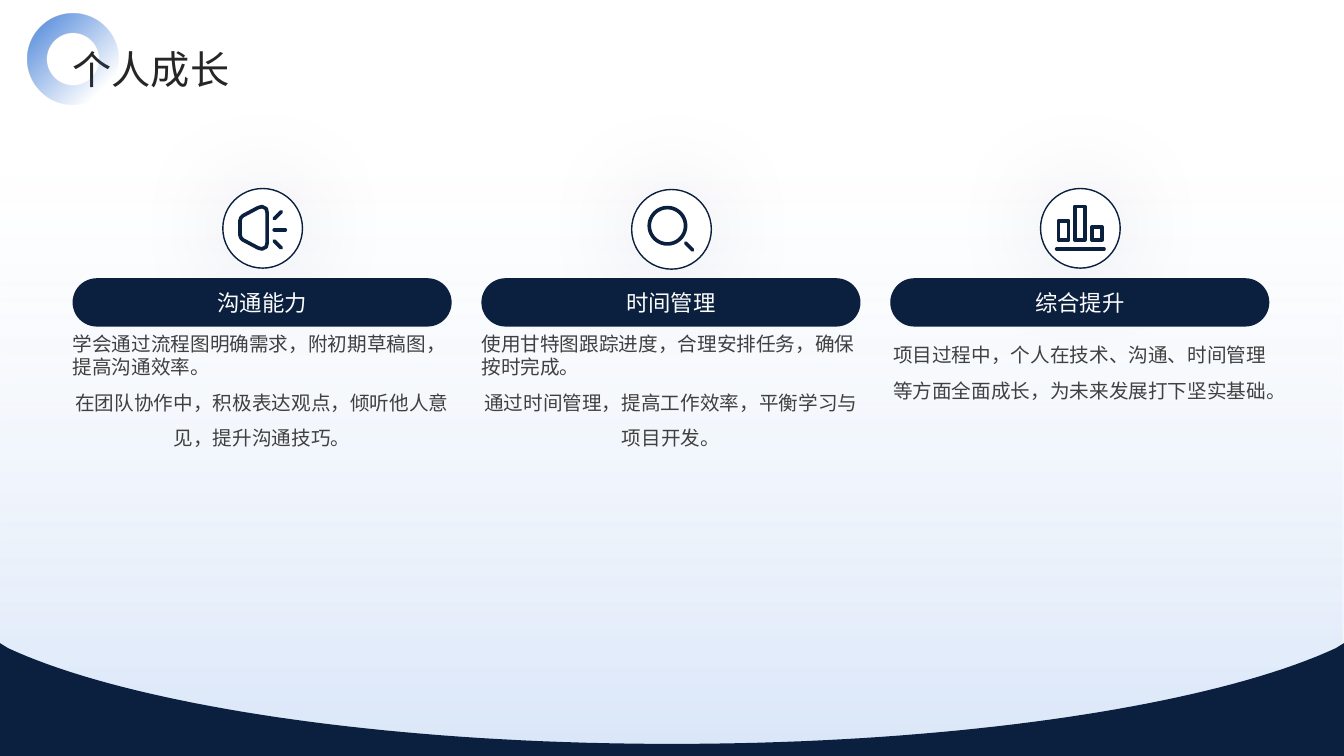
import math

import pptx
import pptx.dml.color
import pptx.enum.shapes
import pptx.enum.text
import pptx.oxml
import pptx.oxml.ns
import pptx.util

Inches = pptx.util.Inches
Pt = pptx.util.Pt
rgb = pptx.dml.color.RGBColor.from_string
SHAPE = pptx.enum.shapes.MSO_SHAPE
ALIGN = pptx.enum.text.PP_ALIGN
MIDDLE = pptx.enum.text.MSO_ANCHOR.MIDDLE
qn = pptx.oxml.ns.qn
NAMESPACE = pptx.oxml.ns.nsdecls("a")

FONT = "Noto Sans CJK SC"
NAVY = "0B203F"
WIDTH, HEIGHT = 13.33, 7.5


def add_run(paragraph, text, size, color):
    run = paragraph.add_run()
    run.text = text
    run.font.size = Pt(size)
    run.font.name = FONT
    run.font.color.rgb = rgb(color)
    east_asian = pptx.oxml.parse_xml(f'<a:ea {NAMESPACE} typeface="{FONT}"/>')
    run.font._element.append(east_asian)


def fill_gradient(shape, stops, angle):
    shape.shadow.inherit = False
    shape.line.fill.background()
    shape.fill.gradient()
    stop_xml = "".join(
        f'<a:gs pos="{position * 1000}"><a:srgbClr val="{color}">'
        f'<a:alpha val="{opacity * 1000}"/></a:srgbClr></a:gs>'
        for position, color, opacity in stops)
    gradient = pptx.oxml.parse_xml(
        f'<a:gradFill {NAMESPACE} rotWithShape="1"><a:gsLst>{stop_xml}</a:gsLst>'
        f'<a:lin ang="{angle * 60000}" scaled="0"/></a:gradFill>')
    properties = shape._element.spPr
    properties.replace(properties.find(qn("a:gradFill")), gradient)


presentation = pptx.Presentation()
presentation.slide_width = Inches(WIDTH)
presentation.slide_height = Inches(HEIGHT)
slide = presentation.slides.add_slide(presentation.slide_layouts[5])
shapes = slide.shapes
title = shapes.title

# Background wash
wash = shapes.add_shape(SHAPE.RECTANGLE, 0, 0, Inches(WIDTH), Inches(HEIGHT))
fill_gradient(wash, [(22, "DAE6F9", 0), (100, "A2C1EF", 40)], 90)

# Curved footer: one half from a Bezier curve, the other mirrored
curve = [(0.08, 6.43), (1.29, 6.99), (3.79, 7.38), (WIDTH / 2, 7.38)]
left_half = [(0, 6.38)]
for step in range(41):
    t = step / 40
    weights = [(1 - t) ** 3, 3 * t * (1 - t) ** 2, 3 * t * t * (1 - t), t ** 3]
    left_half.append(tuple(
        sum(weight * point[axis] for weight, point in zip(weights, curve))
        for axis in (0, 1)))
right_half = [(WIDTH - x, y) for x, y in reversed(left_half[:-1])]
builder = shapes.build_freeform(0, Inches(HEIGHT))
builder.add_line_segments([(Inches(x), Inches(y)) for x, y in
                           left_half + right_half + [(WIDTH, HEIGHT)]])
footer = builder.convert_to_shape()
footer.shadow.inherit = False
footer.fill.solid()
footer.fill.fore_color.rgb = rgb(NAVY)
footer.line.fill.background()

# Three columns: body text, heading pill, icon circle
columns = [
    ("沟通能力", 1.87, "学会通过流程图明确需求，附初期草稿图，提高沟通效率。",
     "在团队协作中，积极表达观点，倾听他人意见，提升沟通技巧。"),
    ("时间管理", 1.88, "使用甘特图跟踪进度，合理安排任务，确保按时完成。",
     "通过时间管理，提高工作效率，平衡学习与项目开发。"),
    ("综合提升", 1.87, None,
     "项目过程中，个人在技术、沟通、时间管理等方面全面成长，为未来发展打下坚实基础。"),
]
for index, (heading, circle_top, lead, detail) in enumerate(columns):
    left = 0.72 + 4.055 * index

    body = shapes.add_textbox(Inches(left), Inches(3.29), Inches(3.76), Inches(3.25))
    frame = body.text_frame
    frame.word_wrap = True
    frame.margin_left = frame.margin_right = frame.margin_top = frame.margin_bottom = 0
    paragraph = frame.paragraphs[0]
    if lead:
        paragraph.alignment = ALIGN.LEFT
        add_run(paragraph, lead, 14, "404040")
        paragraph = frame.add_paragraph()
    paragraph.alignment = ALIGN.CENTER
    paragraph.line_spacing = 1.5
    add_run(paragraph, detail, 14, "404040")

    pill = shapes.add_shape(SHAPE.ROUNDED_RECTANGLE, Inches(left), Inches(2.76),
                            Inches(3.76), Inches(0.48))
    pill.adjustments[0] = 0.5
    pill.shadow.inherit = False
    pill.fill.solid()
    pill.fill.fore_color.rgb = rgb(NAVY)
    pill.line.fill.background()
    frame = pill.text_frame
    frame.margin_top = frame.margin_bottom = 0
    frame.vertical_anchor = MIDDLE
    frame.paragraphs[0].alignment = ALIGN.CENTER
    add_run(frame.paragraphs[0], heading, 16, "FFFFFF")

    circle = shapes.add_shape(SHAPE.OVAL, Inches(left + 1.49), Inches(circle_top),
                              Inches(0.79), Inches(0.79))
    circle.fill.solid()
    circle.fill.fore_color.rgb = rgb("FFFFFF")
    circle.line.color.rgb = rgb(NAVY)
    circle.line.width = Pt(1)
    circle.shadow.inherit = False
    circle._element.spPr.find(qn("a:effectLst")).append(pptx.oxml.parse_xml(
        f'<a:outerShdw {NAMESPACE} blurRad="{Pt(75)}" dist="0" dir="0" algn="ctr" '
        f'rotWithShape="0"><a:srgbClr val="{NAVY}"><a:alpha val="10000"/></a:srgbClr>'
        '</a:outerShdw>'))

# Icons, each a list of (points, closed) contours
megaphone = [
    ([(2.38, 2.19), (2.39, 2.16), (2.41, 2.14), (2.56, 2.06), (2.6, 2.05), (2.64, 2.07),
      (2.65, 2.11), (2.65, 2.41), (2.64, 2.45), (2.6, 2.47), (2.56, 2.46), (2.41, 2.38),
      (2.39, 2.36), (2.38, 2.33)], True),
    ([(2.72, 2.17), (2.79, 2.1)], False),
    ([(2.72, 2.28), (2.83, 2.28)], False),
    ([(2.72, 2.39), (2.79, 2.46)], False),
]
lens = [(6.62 + 0.18 * math.cos(math.radians(angle)),
         2.24 + 0.18 * math.sin(math.radians(angle))) for angle in range(0, 360, 6)]
magnifier = [(lens, True), ([(6.8, 2.41), (6.87, 2.48)], False)]
bars = [([(left, top), (left + 0.1, top), (left + 0.1, 2.38), (left, 2.38)], True)
        for left, top in [(10.5, 2.19), (10.66, 2.05), (10.83, 2.25)]]
bar_chart = bars + [([(10.48, 2.47), (10.95, 2.47)], False)]

for contours in (megaphone, magnifier, bar_chart):
    builder = None
    for points, closed in contours:
        start, *others = [(Inches(x), Inches(y)) for x, y in points]
        if builder is None:
            builder = shapes.build_freeform(*start)
        else:
            builder.move_to(*start)
        builder.add_line_segments(others, close=closed)
    icon = builder.convert_to_shape()
    icon.shadow.inherit = False
    icon.fill.background()
    icon.line.color.rgb = rgb(NAVY)
    icon.line.width = Pt(2.6)
    line = icon.line._get_or_add_ln()
    line.set("cap", "rnd")
    line.append(pptx.oxml.parse_xml(f"<a:round {NAMESPACE}/>"))

# Title, raised above the background
shapes._spTree.append(title._element)
title.left, title.top = Inches(0.72), Inches(0.37)
title.width, title.height = Inches(11.88), Inches(0.48)
frame = title.text_frame
frame.word_wrap = True
frame.auto_size = pptx.enum.text.MSO_AUTO_SIZE.NONE
frame.margin_left = frame.margin_right = frame.margin_top = frame.margin_bottom = 0
frame.vertical_anchor = MIDDLE
paragraph = frame.paragraphs[0]
paragraph.alignment = ALIGN.LEFT
paragraph.line_spacing = 1.3
paragraph.space_before = Pt(0)
add_run(paragraph, "个人成长", 28, "262626")

# Ring beside the title
ring = shapes.add_shape(SHAPE.DONUT, Inches(0.27), Inches(0.14), Inches(0.9), Inches(0.9))
ring.adjustments[0] = 0.216
fill_gradient(ring, [(11, "256BD3", 72), (82, "256BD3", 0)], 45)

presentation.save("out.pptx")
